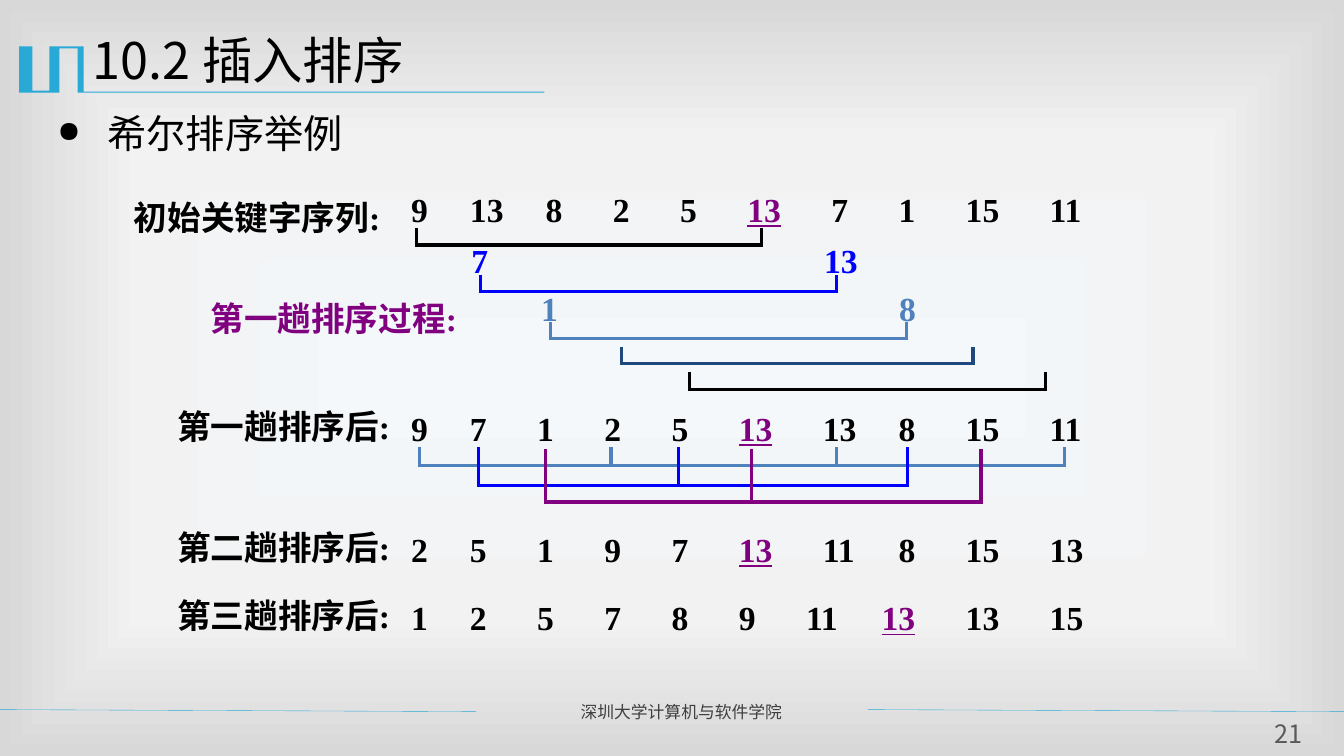
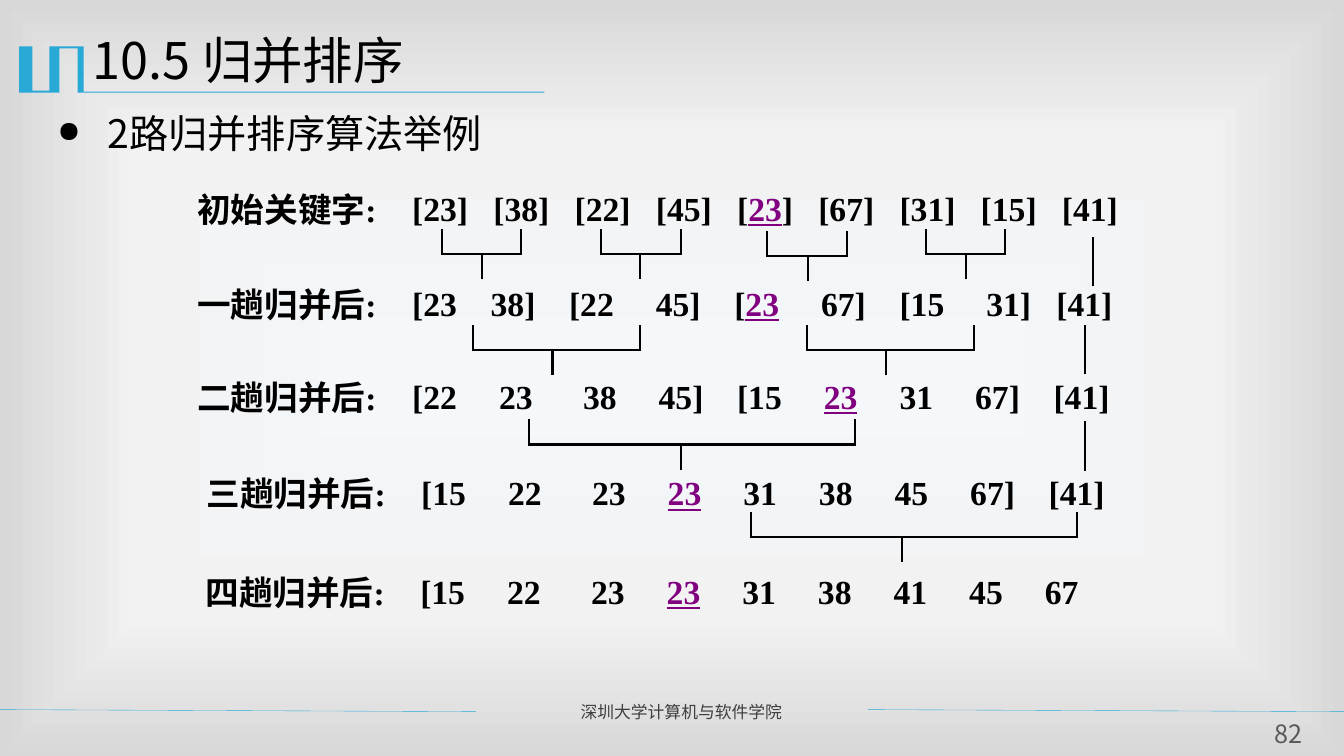
from dataclasses import dataclass
from itertools import accumulate
from lxml.etree import SubElement
from pptx import Presentation
from pptx.dml.color import RGBColor
from pptx.enum.shapes import MSO_CONNECTOR
from pptx.enum.text import MSO_ANCHOR, MSO_AUTO_SIZE, PP_ALIGN
from pptx.oxml import parse_xml
from pptx.oxml.ns import nsdecls, qn
from pptx.util import Inches, Pt


@dataclass(frozen=True)
class Theme:
    sans: str = "Noto Sans CJK SC"
    serif: str = "Times New Roman"
    ink: str = "000000"
    cyan: str = "28A9D6"
    blue: str = "0000FF"
    steel: str = "4F81BD"
    navy: str = "1F497D"
    mark: str = "800080"
    foot: str = "3F3F3F"
    page: str = "595959"
    back: tuple = ((0, "F4F8FB"), (63, "F2F2F2"), (100, "D8D8D8"))
    head_size: int = 36
    point_size: int = 28
    key_size: int = 24
    page_size: int = 18
    foot_size: int = 12
    hair: float = 0.25
    thin: float = 1.5
    thick: float = 2.25


LOOK = Theme()
LOGO = [(0.83, 0.46), (0.83, 0.91), (5.4, 0.91), (5.4, 0.92), (0.77, 0.92),
        (0.77, 0.48), (0.59, 0.48), (0.59, 0.92), (0.19, 0.92), (0.19, 0.46),
        (0.32, 0.46), (0.32, 0.9), (0.49, 0.9), (0.49, 0.46)]
ROW_HIGH = 0.43
DIGIT, BRACKET, SPACE = 1 / 6, 1 / 9, 1 / 12


class Deck:
    def __init__(self, look):
        self.look = look
        self.show = Presentation()
        self.show.slide_width = Inches(13.33)
        self.show.slide_height = Inches(7.5)
        self.slide = None
        self.paint()

    def paint(self):
        master = self.show.slide_master
        master.background.fill.solid()
        solid = master._element.find(".//" + qn("a:solidFill"))
        stops = "".join(f'<a:gs pos="{at * 1000}"><a:srgbClr val="{tint}"/></a:gs>'
                        for at, tint in self.look.back)
        solid.getparent().replace(solid, parse_xml(
            f'<a:gradFill {nsdecls("a")} rotWithShape="1"><a:gsLst>{stops}</a:gsLst>'
            '<a:path path="rect"><a:fillToRect l="50000" t="50000" r="50000" b="50000"/>'
            '</a:path></a:gradFill>'))

    def start(self, title, point, page):
        look = self.look
        self.slide = self.show.slides.add_slide(self.show.slide_layouts[5])
        self.logo()
        for left in (0, 8.61):
            self.line((left, 7.04), (left + 4.72, 7.06), look.cyan, look.hair)
        head = self.slide.shapes.title
        head.left, head.top, head.width, head.height = map(Inches, (0.82, 0.24, 12, 0.87))
        self.sans(head, title, look.head_size, look.ink)
        self.point(point)
        self.sans(self.box(5.66, 6.91, 2.85, 0.3), "深圳大学计算机与软件学院",
                  look.foot_size, look.foot)
        number = self.box(12.48, 7.13, 0.59, 0.31)
        frame = number.text_frame
        frame.margin_left = frame.margin_right = frame.margin_top = frame.margin_bottom = 0
        self.sans(number, str(page), look.page_size, look.page, PP_ALIGN.CENTER)

    def logo(self):
        first, *rest = [(Inches(x), Inches(y)) for x, y in LOGO]
        pen = self.slide.shapes.build_freeform(*first, scale=1.0)
        pen.add_line_segments(rest, close=True)
        shape = pen.convert_to_shape()
        shape.shadow.inherit = False
        shape.fill.solid()
        shape.fill.fore_color.rgb = RGBColor.from_string(self.look.cyan)
        shape.line.fill.background()

    def box(self, left, top, width, height, wrap=True):
        shape = self.slide.shapes.add_textbox(*map(Inches, (left, top, width, height)))
        shape.text_frame.word_wrap = wrap
        return shape

    def style(self, para, face, size, tint, bold=False):
        font = para.font
        font.name, font.size, font.bold = face, Pt(size), bold
        font.color.rgb = RGBColor.from_string(tint)
        SubElement(font._element, qn("a:ea")).set("typeface", self.look.sans)

    def sans(self, shape, text, size, tint, align=PP_ALIGN.LEFT):
        frame = shape.text_frame
        frame.auto_size = MSO_AUTO_SIZE.NONE
        frame.vertical_anchor = MSO_ANCHOR.TOP
        para = frame.paragraphs[0]
        para.add_run().text = text
        para.alignment = align
        self.style(para, self.look.sans, size, tint)

    def point(self, text):
        shape = self.box(0.47, 1.04, 12.13, 0.7)
        props = shape.text_frame.paragraphs[0]._p.get_or_add_pPr()
        props.set("marL", str(Inches(0.5)))
        props.set("indent", str(-Inches(0.5)))
        SubElement(props, qn("a:buSzPct")).set("val", "75000")
        SubElement(props, qn("a:buChar")).set("char", "●")
        self.sans(shape, text, self.look.point_size, self.look.ink)

    def label(self, left, top, width, text, tint=None, align=PP_ALIGN.LEFT):
        frame = self.box(left, top, width, ROW_HIGH, wrap=False).text_frame
        frame.vertical_anchor = MSO_ANCHOR.MIDDLE
        para = frame.paragraphs[0]
        para.add_run().text = text
        para.alignment = align
        self.style(para, self.look.serif, self.look.key_size, tint or self.look.ink, True)

    def keys(self, left, top, text, gaps):
        frame = self.box(left, top, 7.4, ROW_HIGH).text_frame
        frame.vertical_anchor = MSO_ANCHOR.MIDDLE
        para = frame.paragraphs[0]
        words = text.split()
        steps = [sum(DIGIT if sign.isdigit() else BRACKET for sign in word.replace("|", ""))
                 + int(gap) * SPACE for word, gap in zip(words, gaps)]
        tabs = SubElement(para._p.get_or_add_pPr(), qn("a:tabLst"))
        for stop in accumulate(steps):
            tab = SubElement(tabs, qn("a:tab"))
            tab.set("pos", str(Inches(stop)))
            tab.set("algn", "l")
        self.style(para, self.look.serif, self.look.key_size, self.look.ink, True)
        for spot, part in enumerate("\t".join(words).split("|")):
            run = para.add_run()
            run.text = part
            if spot % 2:
                run.font.underline = True
                run.font.color.rgb = RGBColor.from_string(self.look.mark)

    def line(self, start, end, tint, width):
        wire = self.slide.shapes.add_connector(
            MSO_CONNECTOR.STRAIGHT, *map(Inches, (*start, *end)))
        wire.line.width = Pt(width)
        wire.line.color.rgb = RGBColor.from_string(tint)
        wire.line._get_or_add_ln().set("cap", "sq")
        SubElement(wire._element.spPr, qn("a:effectLst"))

    def comb(self, teeth, top, bar, tint, width):
        self.line((teeth[0], bar), (teeth[-1], bar), tint, width)
        for x in teeth:
            self.line((x, top), (x, bar), tint, width)

    def merge(self, left, right, stem, top):
        look, drop = self.look, 0.24
        self.comb((left, right), top, top + drop, look.ink, look.thin)
        self.line((stem, top + drop), (stem, top + 2 * drop), look.ink, look.thin)


def shell(deck):
    look = deck.look
    deck.start("10.2 插入排序", "希尔排序举例", 21)
    deck.label(1.23, 1.94, 2.68, "初始关键字序列:")
    deck.label(1.99, 2.94, 2.6, "第一趟排序过程:", look.mark)
    deck.keys(3.98, 1.86, "9 13 8 2 5 |13| 7 1 15 11", "556666666")
    for top, name, text in (
            (4.03, "第一趟排序后:", "9 7 1 2 5 |13| 13 8 15 11"),
            (5.23, "第二趟排序后:", "2 5 1 9 7 |13| 11 8 15 13"),
            (5.91, "第三趟排序后:", "1 2 5 7 8 9 11 |13| 13 15")):
        deck.label(1.66, top - 0.02, 2.28, name)
        deck.keys(3.98, top, text, "566666566")
    for left, top, text, tint in (
            (4.36, 2.37, "7", look.blue), (7.94, 2.37, "13", look.blue),
            (5.05, 2.84, "1", look.steel), (8.6, 2.84, "8", look.steel)):
        deck.label(left, top, 0.8, text, tint, PP_ALIGN.CENTER)
    for teeth, bar, depth, tint in (
            ((4.13, 7.55), 2.43, 0.15, look.ink),
            ((4.77, 8.3), 2.89, 0.15, look.blue),
            ((5.46, 8.99), 3.36, 0.15, look.steel),
            ((6.16, 9.65), 3.61, 0.15, look.navy),
            ((6.84, 10.37), 3.86, 0.15, look.ink),
            ((4.16, 6.06, 8.3, 10.56), 4.62, 0.17, look.steel),
            ((4.75, 6.73, 9), 4.82, 0.37, look.blue),
            ((5.41, 7.45, 9.73), 4.98, 0.51, look.mark)):
        deck.comb(teeth, bar - depth, bar, tint, look.thick)


def fold(deck):
    look = deck.look
    deck.start("10.5 归并排序", "2路归并排序算法举例", 82)
    for shift, top, name, text, gaps in (
            (0, 1.85, "初始关键字:",
             "[23] [38] [22] [45] [|23|] [67] [31] [15] [41]", "33333333"),
            (0, 2.79, "一趟归并后:", "[23 38] [22 45] [|23| 67] [15 31] [41]", "44545453"),
            (0, 3.71, "二趟归并后:", "[22 23 38 45] [15 |23| 31 67] [41]", "56545554"),
            (0.09, 4.67, "三趟归并后:", "[15 22 23 |23| 31 38 45 67] [41]", "56555554"),
            (0.08, 5.65, "四趟归并后:", "[15 22 23 |23| 31 38 41 45 67", "56555555")):
        deck.label(1.86 + shift, top + 0.01, 1.97, name)
        deck.keys(3.99 + shift, top, text, gaps)
    for left, right, stem, top in (
            (4.38, 5.17, 4.78, 2.28), (5.96, 6.75, 6.35, 2.28),
            (7.61, 8.4, 8.01, 2.3), (9.18, 9.97, 9.58, 2.28),
            (4.69, 6.35, 5.48, 3.23), (8, 9.66, 8.79, 3.23),
            (5.25, 8.48, 6.75, 4.17), (7.45, 10.68, 8.95, 5.09)):
        deck.merge(left, right, stem, top)
    for x, top in ((10.84, 2.36), (10.76, 3.23), (10.76, 4.19)):
        deck.line((x, top), (x, top + 0.47), look.ink, look.thin)


def main():
    deck = Deck(LOOK)
    shell(deck)
    fold(deck)
    deck.show.save("out.pptx")


if __name__ == "__main__":
    main()
